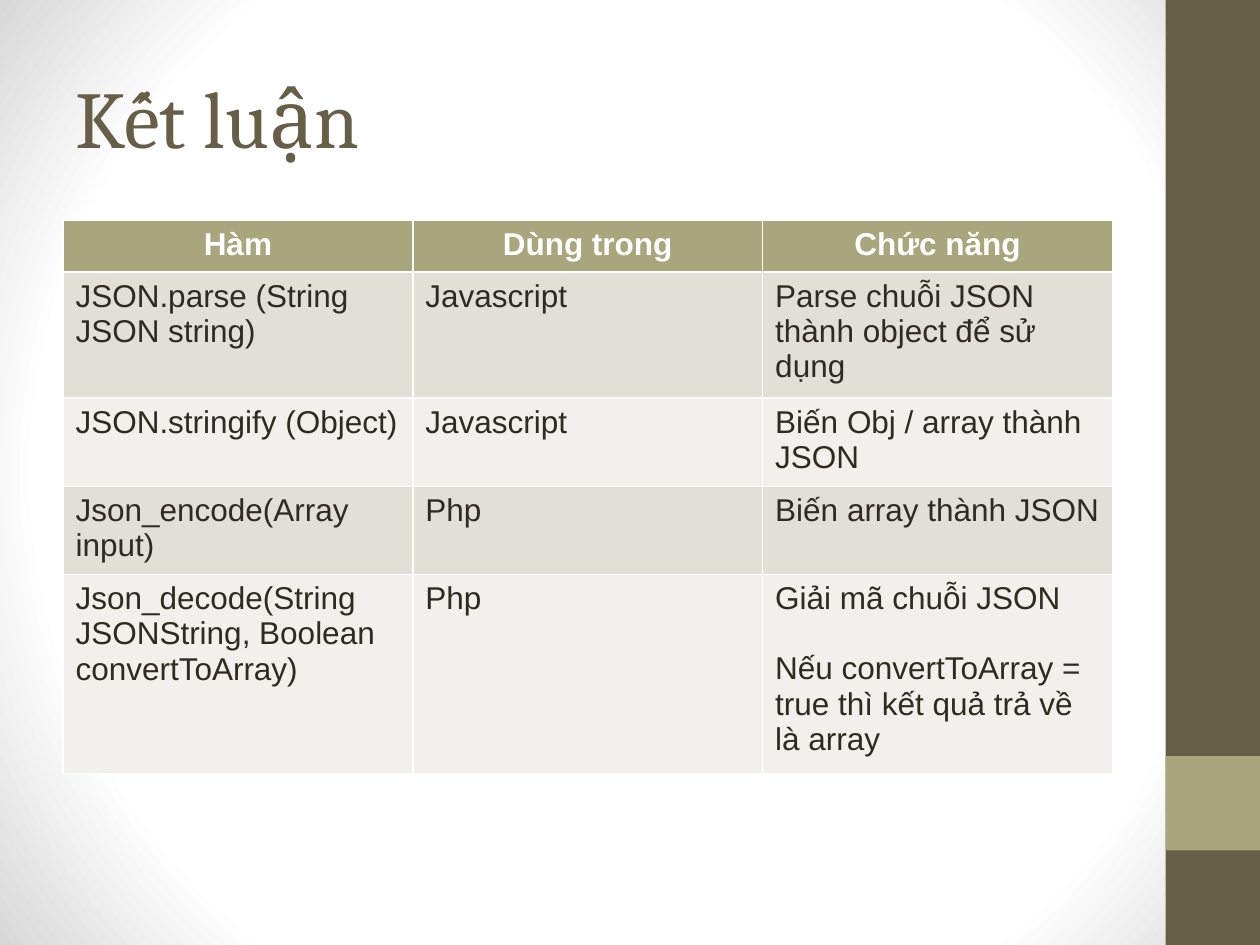
"""Build the "Kết luận" slide: a table of JSON functions beside a colour band."""
from lxml import etree
from pptx import Presentation
from pptx.dml.color import RGBColor
from pptx.enum.shapes import MSO_SHAPE
from pptx.enum.text import MSO_ANCHOR, PP_ALIGN
from pptx.oxml import parse_xml
from pptx.oxml.ns import nsdecls, qn
from pptx.util import Inches, Pt

DARK, OLIVE, WHITE, INK = "675E47", "A9A57C", "FFFFFF", "2F2B20"
BANDS = ["E1E0D6", "F1F0EC"]
ROWS = [
    ["Hàm", "Dùng trong", "Chức năng"],
    ["JSON.parse (String JSON string)", "Javascript", "Parse chuỗi JSON thành object để sử dụng"],
    ["JSON.stringify (Object)", "Javascript", "Biến Obj / array thành JSON"],
    ["Json_encode(Array input)", "Php", "Biến array thành JSON"],
    ["Json_decode(String JSONString, Boolean convertToArray)", "Php",
     "Giải mã chuỗi JSON\nNếu convertToArray = true thì kết quả trả về là array"],
]


def rgb(value):
    return RGBColor.from_string(value)


def style(p, name, size, color, bold=False):
    p.font.name, p.font.size, p.font.bold = name, Pt(size), bold
    p.font.color.rgb = rgb(color)


prs = Presentation()
prs.slide_width, prs.slide_height = Inches(10), Inches(7.5)
s = prs.slides.add_slide(prs.slide_layouts[6])

s.background.fill.gradient()
grad = s.element.find(".//" + qn("a:gradFill"))
for child in list(grad):
    grad.remove(child)
stops = parse_xml(f"<a:gsLst {nsdecls('a')}/>")
for pos, color in [(0, WHITE), (75, WHITE), (100, "D8D8D8")]:
    gs = etree.SubElement(stops, qn("a:gs"), pos=str(pos * 1000))
    etree.SubElement(gs, qn("a:srgbClr"), val=color)
grad.append(stops)
circle = etree.SubElement(grad, qn("a:path"), path="circle")
etree.SubElement(circle, qn("a:fillToRect"), {side: "50000" for side in "ltrb"})

for top, height, color in [(0, 7.5, DARK), (6, 0.75, OLIVE)]:
    sp = s.shapes.add_shape(MSO_SHAPE.RECTANGLE, Inches(9.25), Inches(top), Inches(0.75), Inches(height))
    sp.shadow.inherit = False
    sp.fill.solid()
    sp.fill.fore_color.rgb = rgb(color)
    sp.line.fill.background()

tf = s.shapes.add_textbox(Inches(0.5), Inches(0.3), Inches(8.33), Inches(1.25)).text_frame
tf.word_wrap = True
tf.vertical_anchor = MSO_ANCHOR.MIDDLE
tf.text = "Kết luận"
style(tf.paragraphs[0], "Cambria", 46, DARK)

frame = s.shapes.add_table(len(ROWS), 3, Inches(0.5), Inches(1.75), Inches(8.33), Inches(4.11))
table = frame.table
for i, texts in enumerate(ROWS):
    table.rows[i].height = Inches(0.41)
    header = i == 0
    for j, text in enumerate(texts):
        cell = table.cell(i, j)
        cell.fill.solid()
        cell.fill.fore_color.rgb = rgb(OLIVE if header else BANDS[(i - 1) % 2])
        cell.text = text
        for k, p in enumerate(cell.text_frame.paragraphs):
            style(p, "Arial", 18, WHITE if header else INK, header)
            if header:
                p.alignment = PP_ALIGN.CENTER
            if k:
                p.space_before = Pt(20)
frame.height = Inches(4.11)

prs.save("out.pptx")
